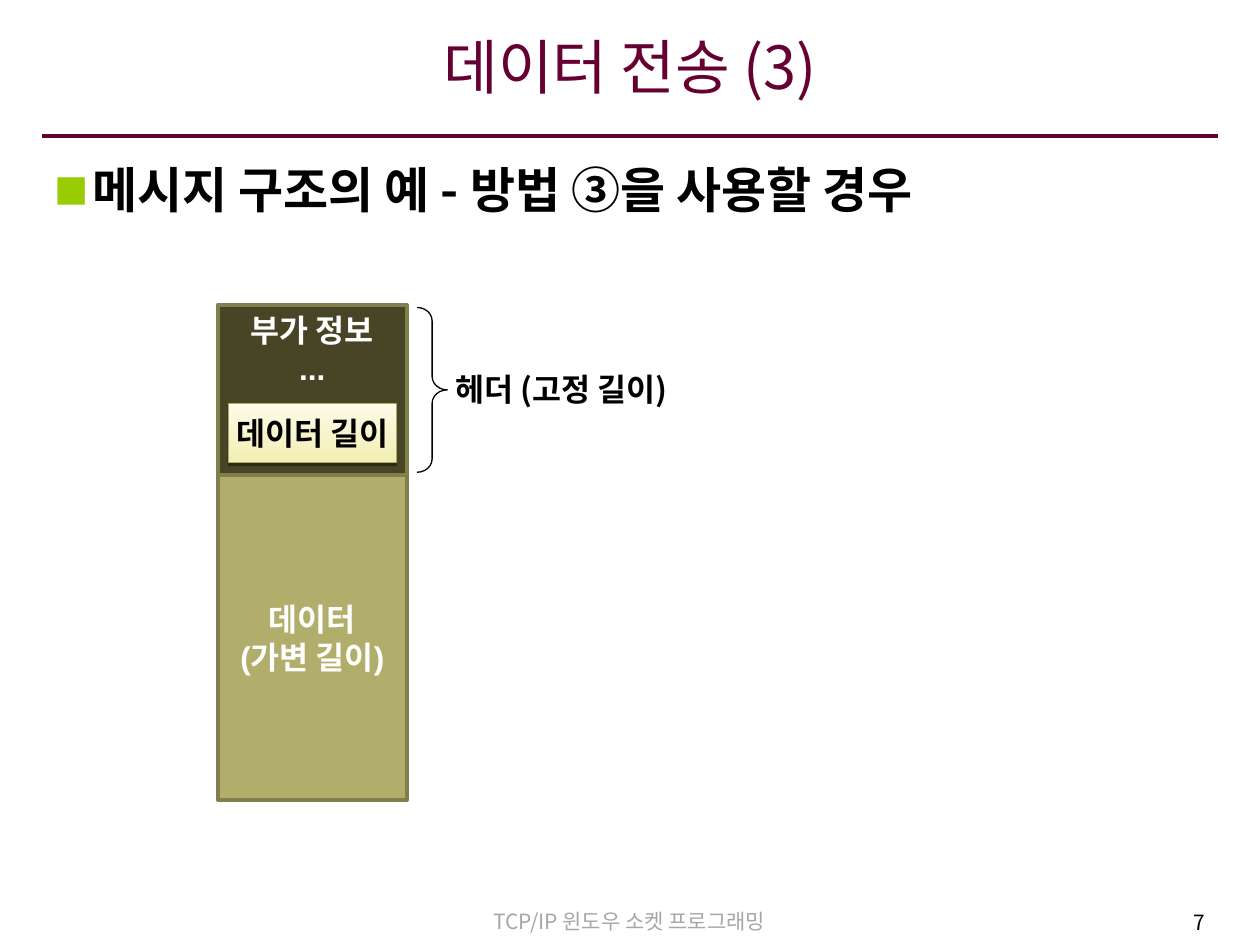
import pptx
import pptx.util
import pptx.dml.color
import pptx.enum.shapes
import pptx.enum.text
import pptx.oxml
import pptx.oxml.ns
import lxml.etree

Pt = pptx.util.Pt
RGBColor = pptx.dml.color.RGBColor
Shape = pptx.enum.shapes.MSO_SHAPE
Align = pptx.enum.text.PP_ALIGN
Anchor = pptx.enum.text.MSO_ANCHOR
qn = pptx.oxml.ns.qn

WINE = RGBColor(0x66, 0x00, 0x33)
BLACK = RGBColor(0x00, 0x00, 0x00)
WHITE = RGBColor(0xFF, 0xFF, 0xFF)
GRAY = RGBColor(0xA6, 0xA6, 0xA6)
LIME = RGBColor(0x99, 0xCC, 0x00)
DARK = RGBColor(0x47, 0x45, 0x25)
KHAKI = RGBColor(0xB1, 0xAE, 0x6B)
EDGE = RGBColor(0x81, 0x7F, 0x4D)
RIM = RGBColor(0xAF, 0xAC, 0x67)
CREAM = RGBColor(0xF2, 0xEE, 0xB2)
PALE = RGBColor(0xFC, 0xFB, 0xEA)

NS = 'xmlns:a="http://schemas.openxmlformats.org/drawingml/2006/main"'
SHADOW = (f'<a:effectLst {NS}><a:outerShdw blurRad="0" dist="20320" dir="5400000" '
          'rotWithShape="0"><a:srgbClr val="000000"><a:alpha val="38000"/>'
          '</a:srgbClr></a:outerShdw></a:effectLst>')


class Deck:
    """Holds the style and the current slide; all lengths are points."""
    font = "Noto Sans CJK KR"
    latin = "Arial"

    def __init__(self):
        self.prs = pptx.Presentation()
        self.prs.slide_width, self.prs.slide_height = Pt(720), Pt(540)
        self.slide = self.prs.slides.add_slide(self.prs.slide_layouts[1])

    def letter(self, shape, text, size, color, bold=False, align=Align.CENTER,
               anchor=Anchor.MIDDLE, wrap=True, font=None):
        frame = shape.text_frame
        frame.text = text
        frame.auto_size = pptx.enum.text.MSO_AUTO_SIZE.NONE
        frame.word_wrap = wrap
        frame.vertical_anchor = anchor
        for para in frame.paragraphs:
            para.alignment = align
            for run in para.runs:
                run.font.size, run.font.bold = Pt(size), bold
                run.font.color.rgb = color
                run.font.name = font or self.font
                east = lxml.etree.SubElement(run.font._element, qn("a:ea"))
                east.set("typeface", self.font)
        return frame

    def place(self, shape, left, top, width, height):
        shape.left, shape.top = Pt(left), Pt(top)
        shape.width, shape.height = Pt(width), Pt(height)

    def title(self, text, *box):
        shape = self.slide.shapes.title
        self.place(shape, *box)
        frame = self.letter(shape, text, 34, WINE)
        frame.margin_left = frame.margin_right = Pt(6)
        frame.margin_bottom = Pt(11.5)

    def body(self, text, *box):
        shape = self.slide.placeholders[1]
        self.place(shape, *box)
        frame = self.letter(shape, text, 28, BLACK, True, Align.LEFT, Anchor.TOP)
        para = frame.paragraphs[0]
        para.space_before = Pt(7)
        props = para._p.get_or_add_pPr()
        props.set("marL", str(Pt(21.6)))
        props.set("indent", str(-Pt(21.6)))
        for xml in (f'<a:buClr {NS}><a:srgbClr val="{LIME}"/></a:buClr>',
                    f'<a:buSzPct {NS} val="70000"/>',
                    f'<a:buFont {NS} typeface="{self.font}"/>',
                    f'<a:buChar {NS} char="■"/>'):
            props.append(pptx.oxml.parse_xml(xml))

    def label(self, text, box, size, color, **style):
        shape = self.slide.shapes.add_textbox(*map(Pt, box))
        self.letter(shape, text, size, color, **style)

    def shape(self, kind, box, line, width):
        shape = self.slide.shapes.add_shape(kind, *map(Pt, box))
        shape.shadow.inherit = False
        shape.line.color.rgb = line
        shape.line.width = Pt(width)
        return shape

    def block(self, text, box, fill, anchor=Anchor.MIDDLE):
        shape = self.shape(Shape.RECTANGLE, box, EDGE, 2)
        shape.fill.solid()
        shape.fill.fore_color.rgb = fill
        self.letter(shape, text, 18, WHITE, True, anchor=anchor, wrap=False,
                    font=self.latin)

    def tag(self, text, box):
        shape = self.shape(Shape.RECTANGLE, box, RIM, 0.75)
        shape.fill.gradient()
        shape.fill.gradient_angle = 90
        for stop, color in zip(shape.fill.gradient_stops, (CREAM, PALE)):
            stop.color.rgb = color
        props = shape._element.spPr
        props.replace(props.find(qn("a:effectLst")), pptx.oxml.parse_xml(SHADOW))
        self.letter(shape, text, 18, BLACK, True, wrap=False, font=self.latin)

    def brace(self, box):
        shape = self.shape(Shape.RIGHT_BRACE, box, BLACK, 0.75)
        shape.fill.background()
        shape.adjustments[0] = 0.44

    def rule(self, left, right, top):
        line = self.slide.shapes.add_connector(
            pptx.enum.shapes.MSO_CONNECTOR.STRAIGHT,
            Pt(left), Pt(top), Pt(right), Pt(top))
        line.line.color.rgb = WINE
        line.line.width = Pt(2.25)
        lxml.etree.SubElement(line._element.spPr, qn("a:effectLst"))


def main():
    deck = Deck()

    # Frame of the page
    deck.rule(24, 696, 77.5)
    deck.label("TCP/IP 윈도우 소켓 프로그래밍", (206.6, 515.5, 306, 21.6), 12, GRAY)
    deck.label("7", (543, 515, 152.6, 23.8), 12, BLACK, align=Align.RIGHT)

    # Title and heading
    deck.title("데이터 전송 (3)", 24, 10.8, 672, 61.2)
    deck.body("메시지 구조의 예 - 방법 ③을 사용할 경우", 24, 87.8, 672, 422)

    # Message: header above data
    left, top, width, head, data = 124.5, 174.2, 108, 97.2, 185.8
    deck.block("부가 정보\n...", (left, top, width, head), DARK, Anchor.TOP)
    deck.block("데이터\n(가변 길이)", (left, top + head, width, data), KHAKI)
    deck.tag("데이터 길이", (left + 6, top + 56.2, width - 12, 34))

    # Header note
    deck.brace((238.3, top + 1.5, 17.3, head - 3))
    deck.label("헤더 (고정 길이)", (253.4, 202.5, 148.3, 39.6), 18, BLACK,
               bold=True, align=Align.LEFT, wrap=False)

    deck.prs.save("out.pptx")


if __name__ == "__main__":
    main()
